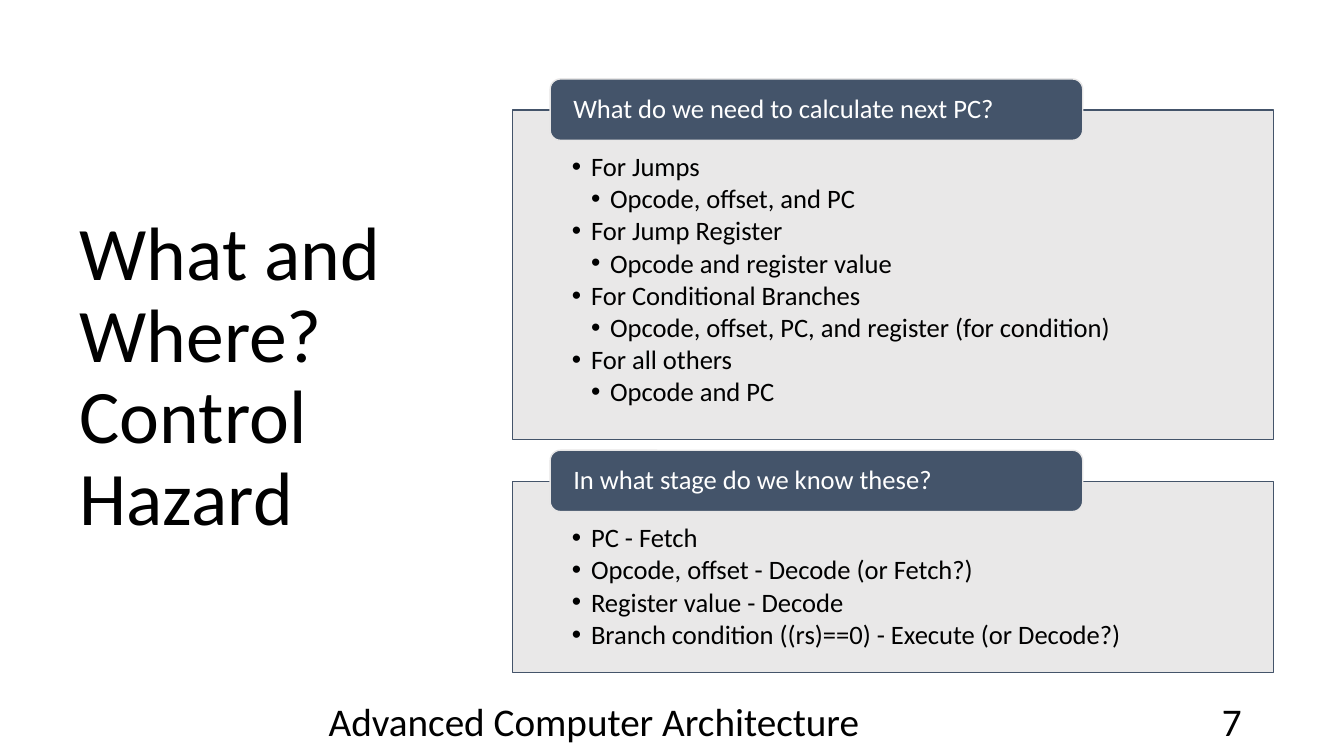
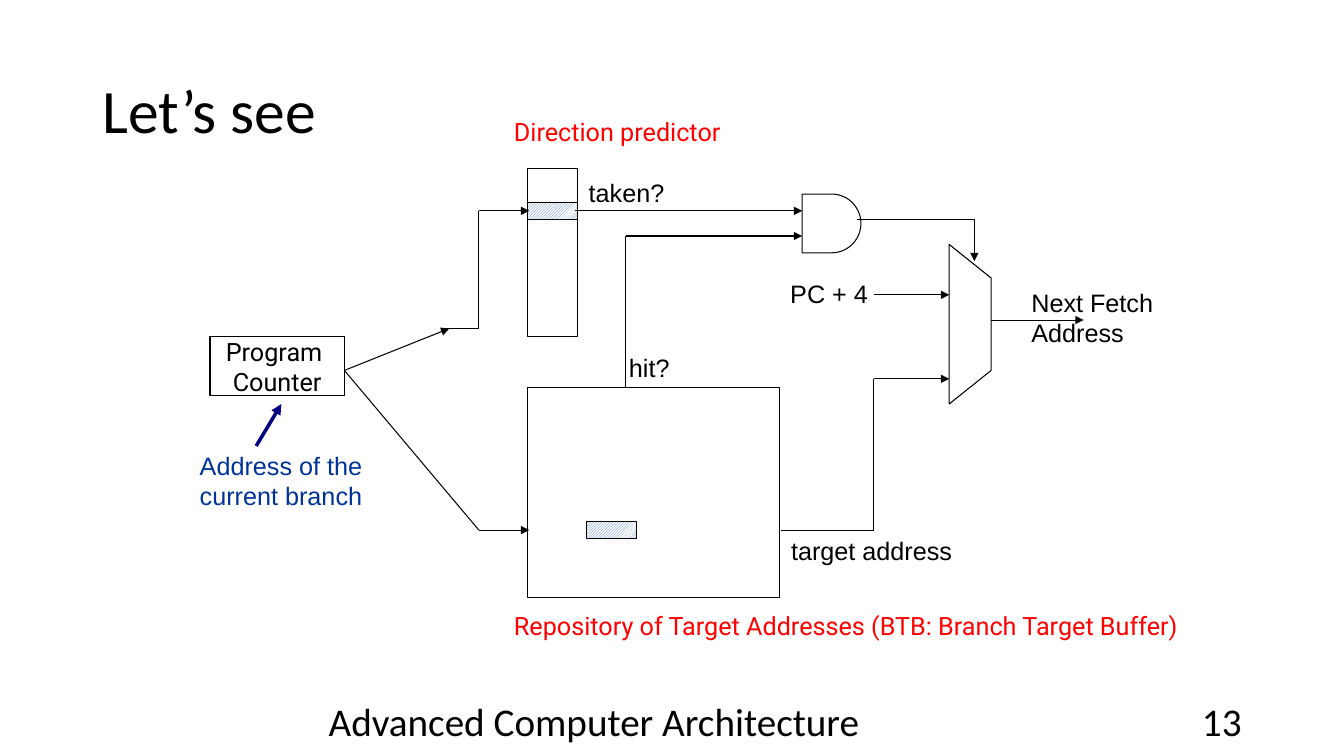
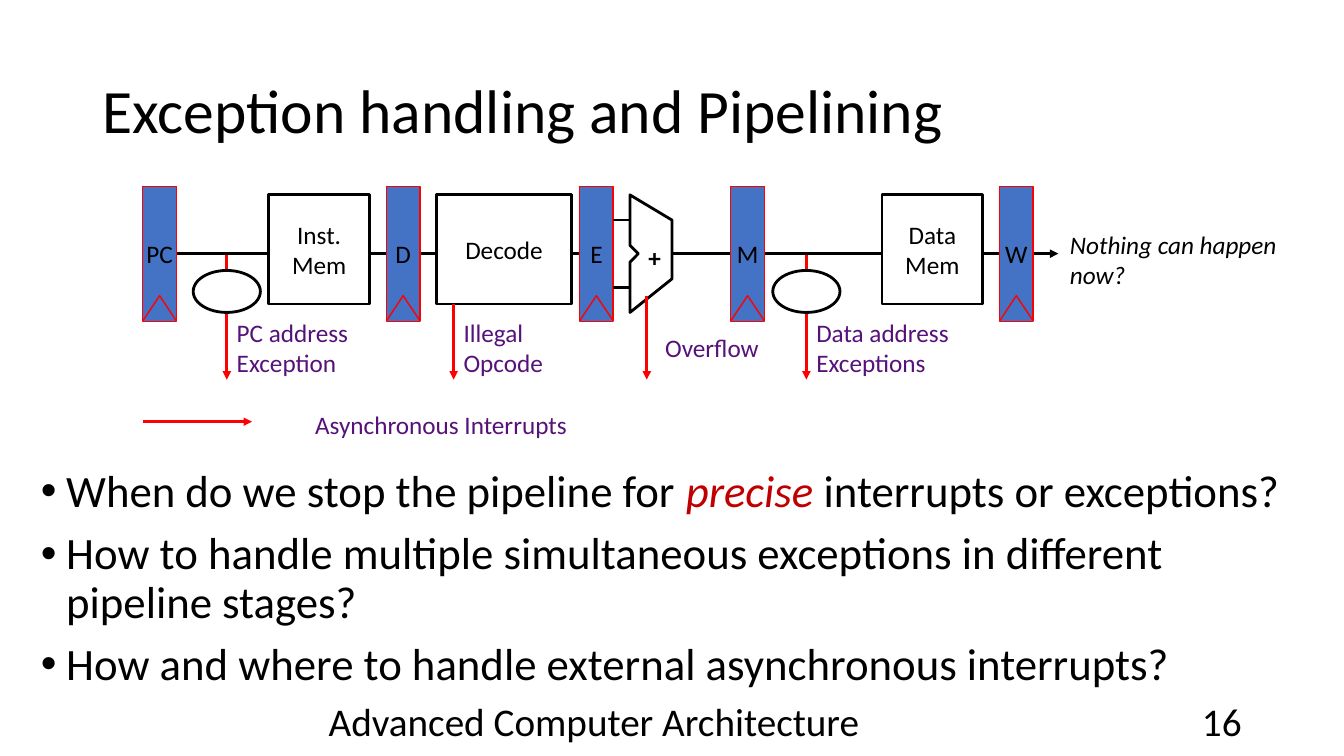
from dataclasses import dataclass, replace

from lxml import etree
from pptx import Presentation
from pptx import util as u
from pptx.dml.color import RGBColor
from pptx.enum import dml, shapes, text
from pptx.oxml.ns import qn

BLACK = RGBColor(0x00, 0x00, 0x00)
WHITE = RGBColor(0xFF, 0xFF, 0xFF)
SLATE = RGBColor(0x44, 0x54, 0x6A)
PALE = RGBColor(0xE7, 0xE6, 0xE6)
BLUE = RGBColor(0x44, 0x72, 0xC4)
NAVY = RGBColor(0x00, 0x00, 0x80)
ROYAL = RGBColor(0x00, 0x33, 0x99)
RED = RGBColor(0xFF, 0x00, 0x00)
CRIMSON = RGBColor(0xC0, 0x00, 0x00)
PURPLE = RGBColor(0x56, 0x12, 0x7A)

COLUMNS, ROWS = 160, 90
CELL = u.Inches(1) / 12

SHAPE = shapes.MSO_SHAPE
LEFT, CENTER, RIGHT = text.PP_ALIGN.LEFT, text.PP_ALIGN.CENTER, text.PP_ALIGN.RIGHT
TOP, MIDDLE = text.MSO_ANCHOR.TOP, text.MSO_ANCHOR.MIDDLE


@dataclass(frozen=True)
class Style:
    size: float = 18
    font: str = "Calibri"
    color: RGBColor = BLACK
    bold: bool = False
    italic: bool = False
    align: int = LEFT
    spacing: float = 1
    before: float = 0
    after: float = 0
    indent: float = 0


PLAIN = Style()
CENTERED = Style(align=CENTER)
TITLE = Style(44, spacing=0.9)
FOOTER = Style(28, align=CENTER)
CARD_TEXT = Style(19, spacing=0.9, after=2.5, indent=0.19)
TAB_TEXT = Style(19, color=WHITE, spacing=0.9)
BODY = Style(32, spacing=0.9, before=10, indent=0.25)
SIGNAL = Style(font="Arial")
HEADING = Style(font="Roboto", color=RED)


class Deck:
    """Places elements on a grid of 160 columns by 90 rows."""

    def __init__(self):
        self.show = Presentation()
        self.show.slide_width = u.Emu(int(COLUMNS * CELL))
        self.show.slide_height = u.Emu(int(ROWS * CELL))
        self.page = None
        self.drop = 0

    def start_page(self, number, title, title_area=(11, 4.8, 138, 17.4), style=TITLE, drop=0):
        """Add a page with title and footer; later elements move down by drop rows."""
        self.page = self.show.slides.add_slide(self.show.slide_layouts[6])
        self.drop = 0
        self.text_box(title_area, [title], style, anchor=MIDDLE)
        self.text_box((34.4, 83.4, 72.6, 4.8), ["Advanced Computer Architecture"], FOOTER, anchor=MIDDLE)
        self.text_box((113, 83.4, 36, 4.8), [str(number)], replace(FOOTER, align=RIGHT), anchor=MIDDLE)
        self.drop = drop

    def point(self, column, row):
        return u.Emu(round(column * CELL)), u.Emu(round((row + self.drop) * CELL))

    def place(self, area):
        column, row, width, height = area
        return *self.point(column, row), u.Emu(round(width * CELL)), u.Emu(round(height * CELL))

    def fill_text(self, frame, paras, style, anchor=TOP, wrap=True):
        """Each para is a string, a (level, string) pair or a list of (string, style) spans."""
        frame.word_wrap = wrap
        frame.vertical_anchor = anchor
        for index, content in enumerate(paras):
            para = frame.paragraphs[0] if index == 0 else frame.add_paragraph()
            level, content = content if isinstance(content, tuple) else (1, content)
            if style.indent:
                self.add_bullet(para, style.indent, level)
            para.alignment = style.align
            para.line_spacing = style.spacing
            para.space_before = u.Pt(style.before if index else 0)
            para.space_after = u.Pt(style.after)
            spans = [(content, style)] if isinstance(content, str) else content
            for words, look in spans:
                span = para.add_run()
                span.text = words
                span.font.name = look.font
                span.font.size = u.Pt(look.size)
                span.font.color.rgb = look.color
                span.font.bold = look.bold
                span.font.italic = look.italic

    def add_bullet(self, para, indent, level):
        props = para._p.get_or_add_pPr()
        props.set("marL", str(u.Inches(indent * level)))
        props.set("indent", str(-u.Inches(indent)))
        etree.SubElement(props, qn("a:buFont")).set("typeface", "Arial")
        etree.SubElement(props, qn("a:buChar")).set("char", "•")

    def text_box(self, area, paras, style=PLAIN, anchor=TOP):
        box = self.page.shapes.add_textbox(*self.place(area))
        self.fill_text(box.text_frame, paras, style, anchor)

    def label(self, area, paras, style=SIGNAL):
        """Text that stays on its lines and sizes its box."""
        box = self.page.shapes.add_textbox(*self.place(area))
        self.fill_text(box.text_frame, paras, style, wrap=False)
        box.text_frame.auto_size = text.MSO_AUTO_SIZE.SHAPE_TO_FIT_TEXT

    def paint(self, shape, fill, line, weight):
        shape.shadow.inherit = False
        if fill is None:
            shape.fill.background()
        else:
            shape.fill.solid()
            shape.fill.fore_color.rgb = fill
        shape.line.color.rgb = line
        shape.line.width = u.Pt(weight)
        return shape

    def block(self, area, fill=None, line=BLACK, weight=0.75, kind=SHAPE.RECTANGLE):
        shape = self.page.shapes.add_shape(kind, *self.place(area))
        return self.paint(shape, fill, line, weight)

    def outline(self, points, fill=None, line=BLACK, weight=0.75, close=True):
        first, *others = [self.point(*point) for point in points]
        builder = self.page.shapes.build_freeform(*first)
        builder.add_line_segments(others, close=close)
        self.paint(builder.convert_to_shape(), fill, line, weight)

    def wire(self, *points, color=BLACK, weight=0.75, arrow=True):
        """Straight connectors through the points, with an arrowhead at the last."""
        for start, end in zip(points, points[1:]):
            connector = self.page.shapes.add_connector(
                shapes.MSO_CONNECTOR.STRAIGHT, *self.point(*start), *self.point(*end))
            connector.line.color.rgb = color
            connector.line.width = u.Pt(weight)
            props = connector.element.spPr
            if arrow and end == points[-1]:
                etree.SubElement(props.find(qn("a:ln")), qn("a:tailEnd")).set("type", "triangle")
            etree.SubElement(props, qn("a:effectLst"))

    def card(self, row, height, heading, items):
        """Bulleted panel with a heading tab across its top edge."""
        panel = self.block((61, row, 90.6, height), PALE, SLATE, 1)
        tint = panel.element.spPr.find(qn("a:solidFill"))[0]
        etree.SubElement(tint, qn("a:alpha")).set("val", "90000")
        frame = panel.text_frame
        frame.margin_left = frame.margin_right = u.Inches(0.59)
        frame.margin_top, frame.margin_bottom = u.Inches(0.43), u.Inches(0.15)
        self.fill_text(frame, items, CARD_TEXT)
        tab = self.block((65.5, row - 3.7, 63.4, 7.3), SLATE, PALE, 1, SHAPE.ROUNDED_RECTANGLE)
        frame = tab.text_frame
        frame.margin_left = frame.margin_right = u.Inches(0.2)
        frame.margin_top = frame.margin_bottom = 0
        self.fill_text(frame, [heading], TAB_TEXT, MIDDLE)

    def table_entry(self, column, row):
        entry = self.block((column, row, 6, 2))
        entry.fill.patterned()
        entry.fill.pattern = dml.MSO_PATTERN.DARK_UPWARD_DIAGONAL
        entry.fill.fore_color.rgb = BLUE
        entry.fill.back_color.rgb = WHITE

    def register(self, column, name):
        """Pipeline register with its clock notch."""
        bar = self.block((column, 22, 4, 16), BLUE, RED, 1)
        self.fill_text(bar.text_frame, [name], CENTERED, MIDDLE, wrap=False)
        self.outline([(column, 38), (column + 2, 35), (column + 4, 38)], BLUE, RED, 1, close=False)

    def stage(self, column, width, name):
        box = self.block((column, 23, width, 13), WHITE, weight=2)
        self.fill_text(box.text_frame, [name], CENTERED, MIDDLE)


def build_hazard_page(deck):
    deck.start_page(7, "What and Where? Control Hazard", (8.3, 8.4, 44.9, 73.3), replace(TITLE, size=54))
    deck.card(13.1, 39.2, "What do we need to calculate next PC?", [
        "For Jumps", (2, "Opcode, offset, and PC"),
        "For Jump Register", (2, "Opcode and register value"),
        "For Conditional Branches", (2, "Opcode, offset, PC, and register (for condition)"),
        "For all others", (2, "Opcode and PC")])
    deck.card(57.3, 22.8, "In what stage do we know these?", [
        "PC - Fetch",
        "Opcode, offset - Decode (or Fetch?)",
        "Register value - Decode",
        "Branch condition ((rs)==0) - Execute (or Decode?)"])


def build_predictor_page(deck):
    deck.start_page(13, "Let’s see", drop=0.1)
    deck.block((62.8, 20, 6, 20))
    deck.table_entry(62.8, 24)
    deck.block((62.8, 46, 30, 25))
    deck.table_entry(69.8, 62)
    counter = deck.block((25, 40, 16, 7))
    deck.fill_text(counter.text_frame, ["Program ", "Counter"],
                   replace(CENTERED, font="Roboto"), MIDDLE, wrap=False)
    deck.block((95.5, 23, 7, 7), kind=SHAPE.FLOWCHART_DELAY)
    deck.outline([(113, 29), (118, 33), (118, 44), (113, 48)])

    deck.wire((41, 44), (53.5, 39))
    deck.wire((53, 39), (57, 39), (57, 25), (63, 25))
    deck.wire((41, 44), (57, 63), (63, 63))
    deck.wire((93, 63), (104, 63), (104, 45), (113, 45))
    deck.wire((104, 35), (113, 35))
    deck.wire((118, 38), (129, 38))
    deck.wire((68.5, 25), (95.5, 25))
    deck.wire((102, 26), (116, 26), (116, 31))
    deck.wire((74.5, 46), (74.5, 28), (95.5, 28))
    deck.wire((30.5, 53), (33.5, 48), color=NAVY, weight=2.5)

    deck.label((60, 13.2, 27.1, 4.8), ["Direction predictor"], HEADING)
    deck.label((60, 72, 82, 4.8), ["Repository of Target Addresses (BTB: Branch Target Buffer)"], HEADING)
    deck.label((93, 63, 21.6, 4.8), ["target address"])
    deck.label((92.9, 32.5, 11.8, 4.8), ["PC + 4"])
    deck.label((68.9, 20.4, 11.4, 4.8), ["taken?"])
    deck.label((73.7, 41.2, 7.2, 4.8), ["hit?"])
    deck.label((121.6, 33.5, 16.9, 8.4), ["Next Fetch", "Address"])
    deck.label((22.6, 52.9, 22.6, 8.4), ["Address of the", "current branch"], replace(SIGNAL, color=ROYAL))


def build_exception_page(deck):
    deck.start_page(16, "Exception handling and Pipelining", drop=0.2)
    for column in (27, 96):
        deck.wire((column, 30), (column, 45), color=RED, weight=2)
    deck.wire((80, 30), (126, 30), weight=2)
    deck.wire((19, 30), (69, 30), weight=2, arrow=False)
    for column, name in ((17, "PC"), (46, "D"), (69, "E"), (87, "M"), (119, "W")):
        deck.register(column, name)
    for column, width, name in ((32, 12, "Inst. Mem"), (52, 16, "Decode"), (105, 12, "Data Mem")):
        deck.stage(column, width, name)
    deck.outline([(75, 23), (75, 29), (76, 30), (75, 31), (75, 37), (80, 33), (80, 26)], WHITE, weight=2)
    for row in (26, 34):
        deck.wire((73, row), (75, row), weight=2, arrow=False)
    deck.label((76, 28, 3.7, 4.4), ["+"], replace(CENTERED, bold=True))
    for column in (23, 92):
        deck.block((column, 32, 8, 5), WHITE, weight=2, kind=SHAPE.OVAL)
    for column, row in ((54, 36), (77, 35)):
        deck.wire((column, row), (column, 45), color=RED, weight=2)
    deck.wire((17, 50), (30, 50), color=RED, weight=2)

    cause = Style(color=PURPLE)
    for column, width, name in ((27, 21, "PC address Exception"), (54, 16, "Illegal Opcode"),
                                (78, 16, "Overflow"), (96, 24, "Data address Exceptions")):
        deck.text_box((column, 37, width, 8.4), [name], cause, MIDDLE)
    deck.text_box((31, 48, 43, 4.8), ["Asynchronous Interrupts"], replace(cause, align=CENTER))
    deck.text_box((126.2, 26.5, 31.5, 8.5), ["Nothing can happen", "now?"], Style(italic=True))
    deck.text_box((3.7, 55, 154, 24), [
        [("When do we stop the pipeline for ", BODY),
         ("precise", replace(BODY, color=CRIMSON, italic=True)),
         (" interrupts or exceptions?", BODY)],
        "How to handle multiple simultaneous exceptions in different pipeline stages?",
        "How and where to handle external asynchronous interrupts?"], BODY)


def main():
    deck = Deck()
    build_hazard_page(deck)
    build_predictor_page(deck)
    build_exception_page(deck)
    deck.show.save("out.pptx")


if __name__ == "__main__":
    main()
